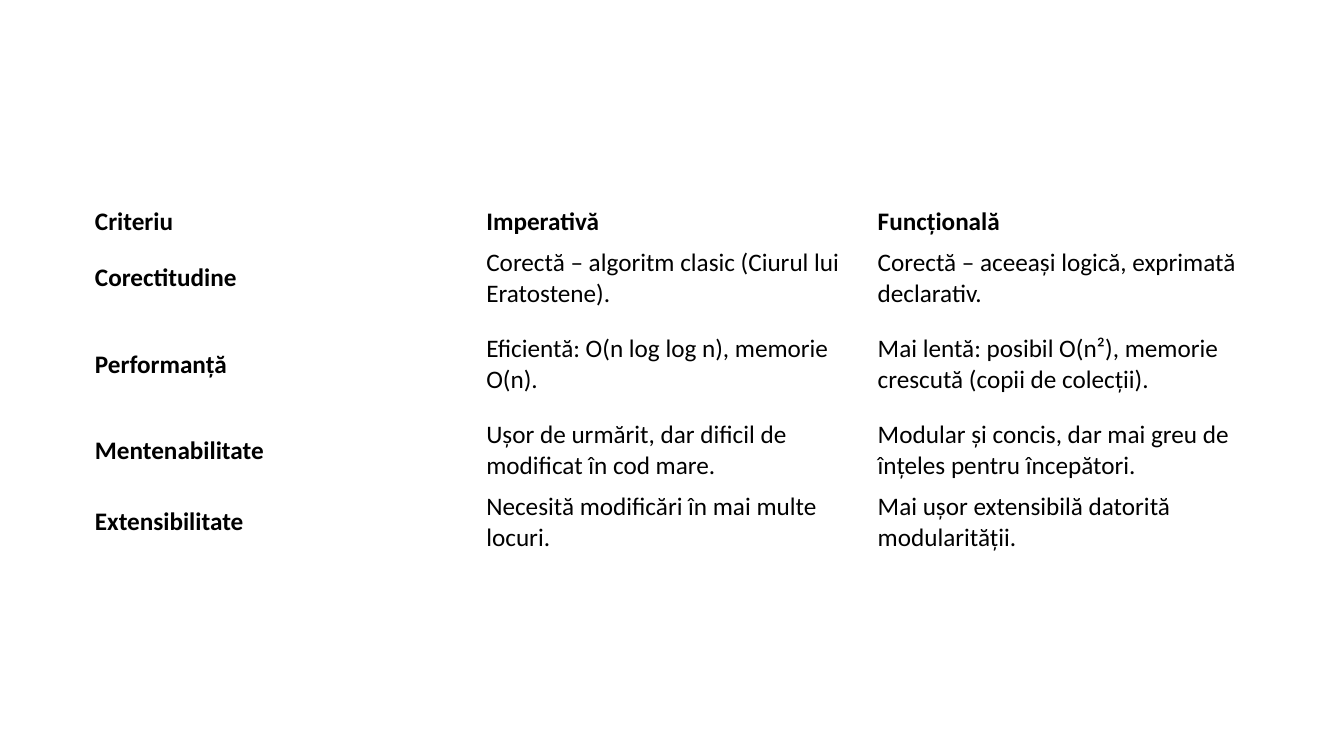
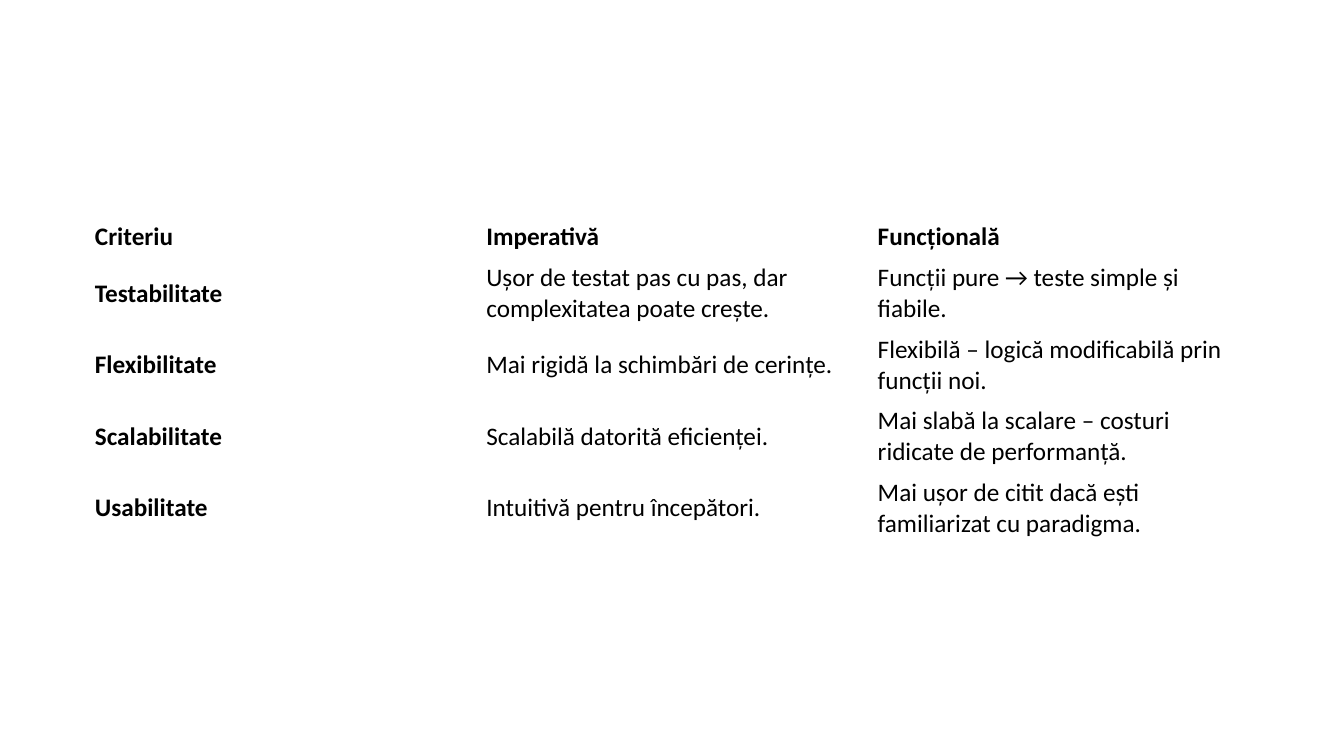
from pptx import Presentation
from pptx.dml.color import RGBColor as RGB
from pptx.enum.text import MSO_ANCHOR as Anchor
from pptx.util import Pt

# Shared style
WIDE, HIGH = 960, 540
COL = 279.6
HEAD_ROW, ROW, TALL = 28.8, 50.4, 72
FONT, SIZE, INK = "Calibri", 18, "000000"
HEAD = ("Criteriu", "Imperativă", "Funcțională")

# Table content: row height and cells
DESIGN = [
    (ROW, "Corectitudine",
     "Corectă – algoritm clasic (Ciurul lui Eratostene).",
     "Corectă – aceeași logică, exprimată declarativ."),
    (TALL, "Performanță",
     "Eficientă: O(n log log n), memorie O(n).",
     "Mai lentă: posibil O(n²), memorie crescută (copii de colecții)."),
    (ROW, "Mentenabilitate",
     "Ușor de urmărit, dar dificil de modificat în cod mare.",
     "Modular și concis, dar mai greu de înțeles pentru începători."),
    (ROW, "Extensibilitate",
     "Necesită modificări în mai multe locuri.",
     "Mai ușor extensibilă datorită modularității."),
]
USAGE = [
    (ROW, "Testabilitate",
     "Ușor de testat pas cu pas, dar complexitatea poate crește.",
     "Funcții pure → teste simple și fiabile."),
    (ROW, "Flexibilitate",
     "Mai rigidă la schimbări de cerințe.",
     "Flexibilă – logică modificabilă prin funcții noi."),
    (ROW, "Scalabilitate",
     "Scalabilă datorită eficienței.",
     "Mai slabă la scalare – costuri ridicate de performanță."),
    (ROW, "Usabilitate",
     "Intuitivă pentru începători.",
     "Mai ușor de citit dacă ești familiarizat cu paradigma."),
]


def color(code):
    return RGB.from_string(code)


def fill_cell(cell, text, bold):
    cell.fill.background()
    cell.vertical_anchor = Anchor.MIDDLE
    cell.text_frame.text = text
    font = cell.text_frame.paragraphs[0].runs[0].font
    font.name, font.size, font.bold = FONT, Pt(SIZE), bold
    font.color.rgb = color(INK)


def add_grid(slide, body):
    """Place a comparison table in the middle of the slide."""
    rows = [(HEAD_ROW, *HEAD), *body]
    wide = COL * len(HEAD)
    high = sum(row[0] for row in rows)
    table = slide.shapes.add_table(
        len(rows), len(HEAD), Pt((WIDE - wide) / 2), Pt((HIGH - high) / 2),
        Pt(wide), Pt(high)).table
    table.horz_banding = table.first_row = False
    for col in table.columns:
        col.width = Pt(COL)
    for r, (size, *texts) in enumerate(rows):
        table.rows[r].height = Pt(size)
        for c, text in enumerate(texts):
            fill_cell(table.cell(r, c), text, r == 0 or c == 0)


def main():
    deck = Presentation()
    deck.slide_width, deck.slide_height = Pt(WIDE), Pt(HIGH)
    blank = deck.slide_layouts[6]
    for body in (DESIGN, USAGE):
        add_grid(deck.slides.add_slide(blank), body)
    deck.save("out.pptx")


if __name__ == "__main__":
    main()
